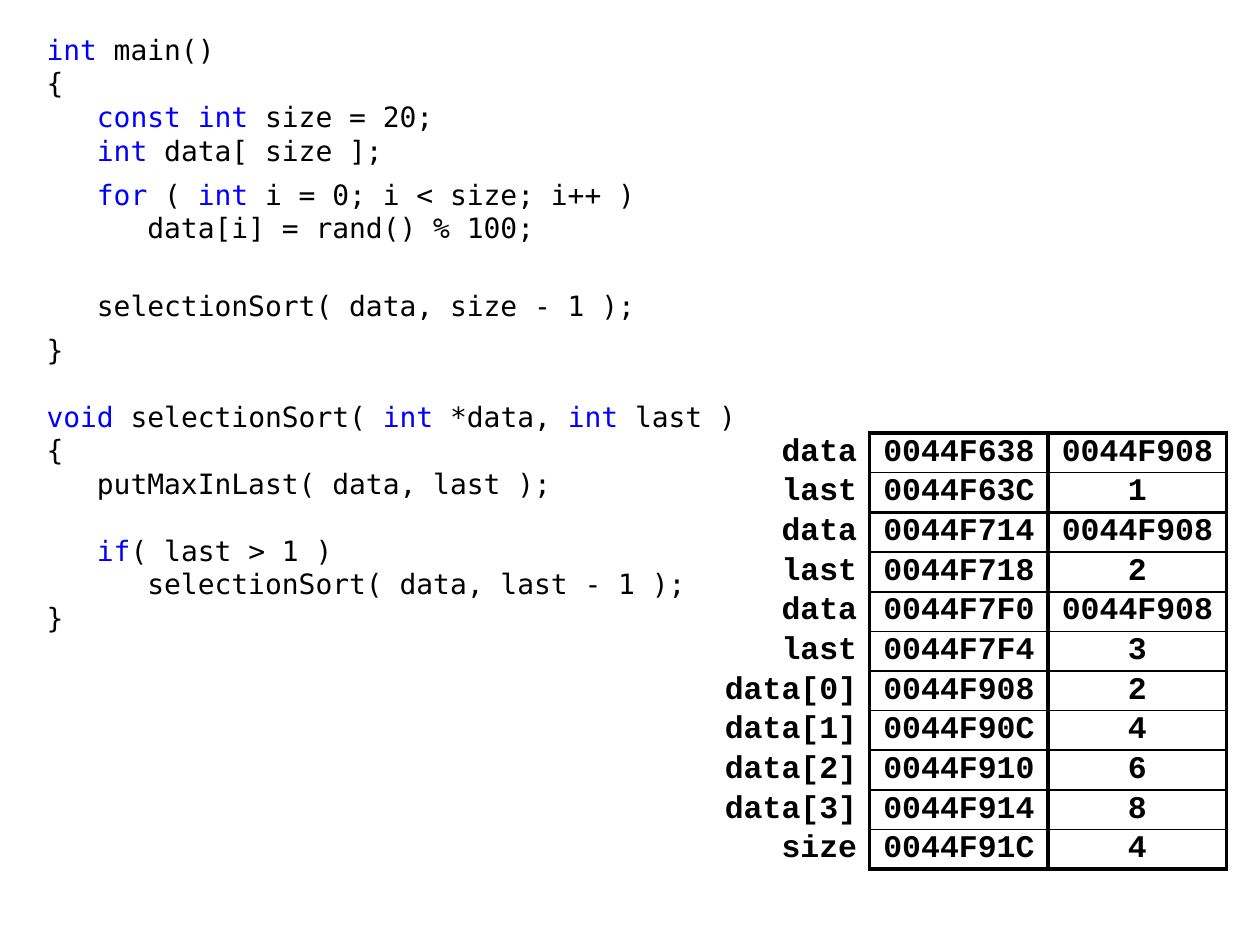
from dataclasses import dataclass

from lxml.etree import SubElement
from pptx import Presentation
from pptx.dml.color import RGBColor
from pptx.enum.text import MSO_ANCHOR, PP_ALIGN
from pptx.oxml.ns import qn
from pptx.util import Pt


@dataclass(frozen=True)
class Theme:
    """Colours, fonts, type sizes and line widths of the slide."""
    ink: RGBColor = RGBColor(0, 0, 0)
    keyword: RGBColor = RGBColor(0, 0, 255)
    code_font: str = "DejaVu Sans Mono"
    code_size: Pt = Pt(16)
    table_font: str = "Courier New"
    table_size: Pt = Pt(18)
    frame_line: Pt = Pt(2.25)
    call_line: Pt = Pt(1.5)
    row_line: Pt = Pt(1)


THEME = Theme()
NO_GRID_STYLE = "{2D5ABB26-0587-4C30-8999-92F81FD0307C}"
SMALL_GAP, LINE_GAP = 6, 19

# Keywords stand between bars; the number is the space after the line.
CODE = [
    ("|int| main()", 0),
    ("{", 0),
    ("   |const int |size = 20;", 0),
    ("   |int| data[ size ];", SMALL_GAP),
    ("   |for| ( |int| i = 0; i < size; i++ )", 0),
    ("      data[i] = rand() % 100;", SMALL_GAP + LINE_GAP),
    ("   selectionSort( data, size - 1 );", SMALL_GAP),
    ("}", LINE_GAP),
    ("|void |selectionSort( |int |*data, |int| last )", 0),
    ("{", 0),
    ("   putMaxInLast( data, last );", LINE_GAP),
    ("   |if|( last > 1 )", 0),
    ("      selectionSort( data, last - 1 );", 0),
    ("}", 0),
]

CALL_FRAMES = [
    [("data", "0044F638", "0044F908"), ("last", "0044F63C", "1")],
    [("data", "0044F714", "0044F908"), ("last", "0044F718", "2")],
    [("data", "0044F7F0", "0044F908"), ("last", "0044F7F4", "3")],
    [
        ("data[0]", "0044F908", "2"),
        ("data[1]", "0044F90C", "4"),
        ("data[2]", "0044F910", "6"),
        ("data[3]", "0044F914", "8"),
        ("size", "0044F91C", "4"),
    ],
]


def add_code(slide, left, top, width, height):
    """Place the program listing with its keywords coloured."""
    text_box = slide.shapes.add_textbox(left, top, width, height)
    text_frame = text_box.text_frame
    text_frame.word_wrap = True
    for index, (line, gap) in enumerate(CODE):
        paragraph = text_frame.paragraphs[0] if index == 0 else text_frame.add_paragraph()
        paragraph.space_after = Pt(gap)
        paragraph.font.name = THEME.code_font
        paragraph.font.size = THEME.code_size
        for part, text in enumerate(line.split("|")):
            if text:
                run = paragraph.add_run()
                run.text = text
                run.font.color.rgb = THEME.keyword if part % 2 else THEME.ink


def set_borders(cell, borders):
    """Draw solid borders on the sides named L, R, T and B."""
    properties = cell._tc.get_or_add_tcPr()
    for side in "LRTB":
        if side in borders:
            line = SubElement(properties, qn(f"a:ln{side}"), w=str(borders[side]))
            fill = SubElement(line, qn("a:solidFill"))
            SubElement(fill, qn("a:srgbClr"), val=str(THEME.ink))


def fill_cell(cell, text, alignment, borders):
    """Write one memory table cell."""
    set_borders(cell, borders)
    cell.fill.background()
    cell.vertical_anchor = MSO_ANCHOR.MIDDLE
    cell.margin_top = cell.margin_bottom = 0
    paragraph = cell.text_frame.paragraphs[0]
    paragraph.text = text
    paragraph.alignment = alignment
    font = paragraph.font
    font.name, font.size, font.bold = THEME.table_font, THEME.table_size, True
    font.color.rgb = THEME.ink


def add_memory_table(slide, left, top, width, height):
    """Place the memory table, with heavier rules between call frames."""
    rows = [row for frame in CALL_FRAMES for row in frame]
    rules = [THEME.frame_line]
    for frame in CALL_FRAMES:
        rules += [THEME.row_line] * (len(frame) - 1) + [THEME.call_line]
    rules[-1] = THEME.frame_line

    table = slide.shapes.add_table(len(rows), 3, left, top, width, height).table
    table.first_row = table.horz_banding = False
    table._tbl.tblPr.find(qn("a:tableStyleId")).text = NO_GRID_STYLE
    label_width = Pt(90.5)
    value_width = (width - label_width) // 2
    for column, column_width in zip(table.columns, (label_width, value_width, value_width)):
        column.width = column_width
    for index, (label, *values) in enumerate(rows):
        table.rows[index].height = height // len(rows)
        fill_cell(table.cell(index, 0), label, PP_ALIGN.RIGHT, {"R": THEME.frame_line})
        borders = {"L": THEME.frame_line, "R": THEME.frame_line,
                   "T": rules[index], "B": rules[index + 1]}
        for column, value in enumerate(values, start=1):
            fill_cell(table.cell(index, column), value, PP_ALIGN.CENTER, borders)


def main():
    """Build and save the slide."""
    presentation = Presentation()
    presentation.slide_width, presentation.slide_height = Pt(720), Pt(540)
    slide = presentation.slides.add_slide(presentation.slide_layouts[6])
    add_code(slide, Pt(19.5), Pt(15), Pt(411), Pt(354))
    add_memory_table(slide, Pt(406.5), Pt(247.5), Pt(294.5), Pt(249.15))
    presentation.save("out.pptx")


if __name__ == "__main__":
    main()
